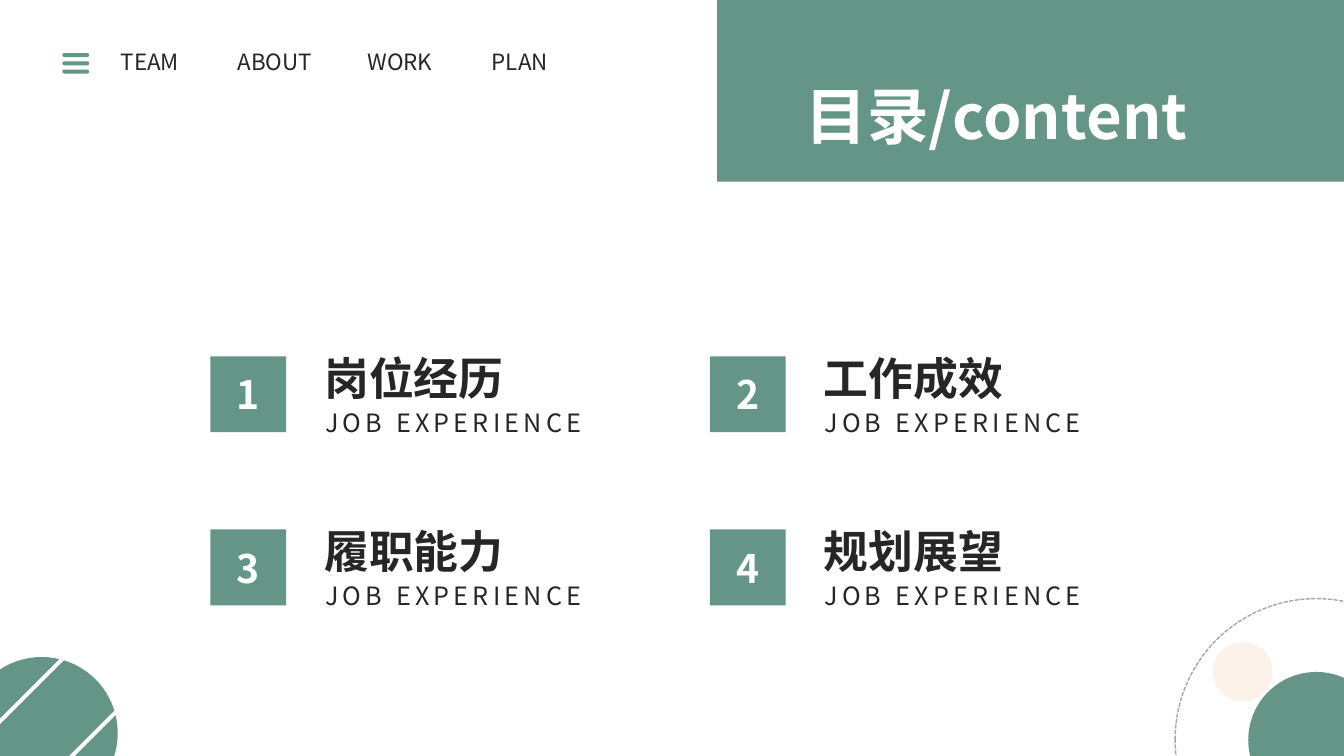
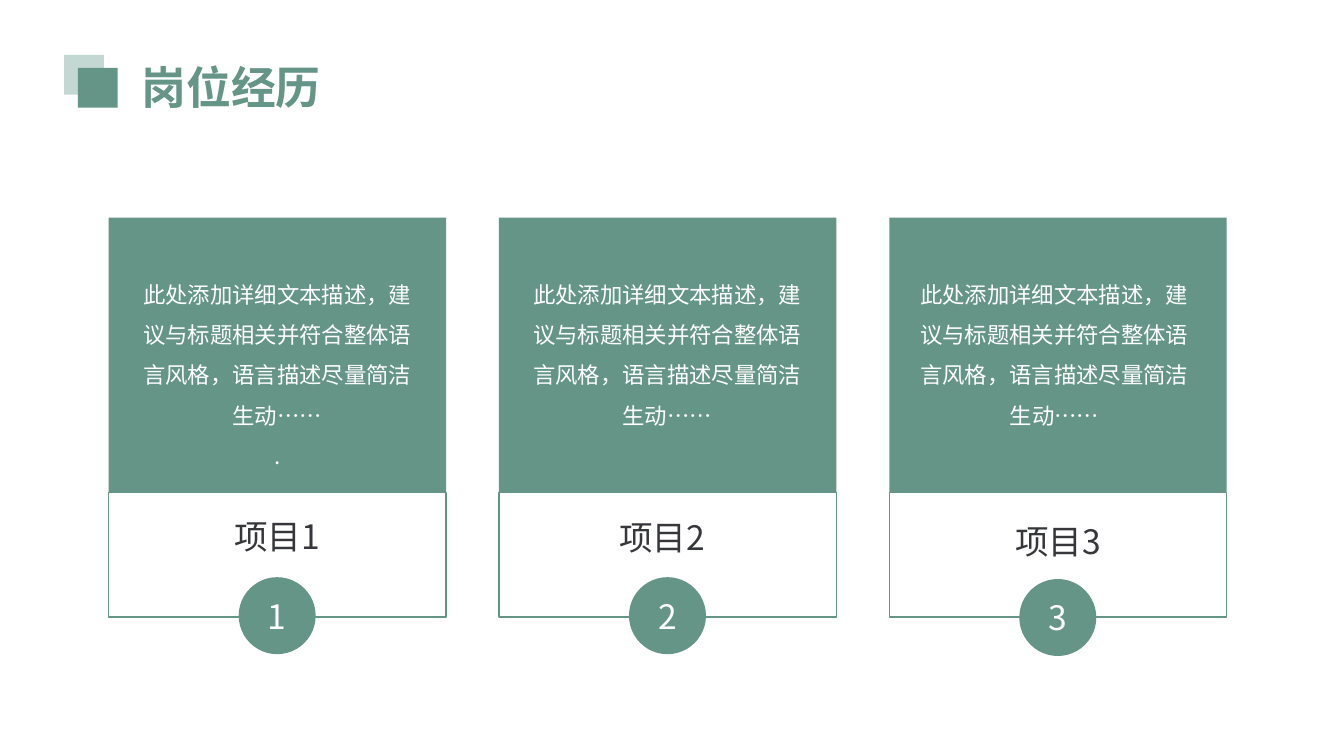
import math

import pptx
import pptx.dml.color
import pptx.enum.dml
import pptx.enum.shapes
import pptx.enum.text
import pptx.oxml
import pptx.oxml.ns
import pptx.util

Pt = pptx.util.Pt
RGB = pptx.dml.color.RGBColor
SHAPE = pptx.enum.shapes.MSO_SHAPE
ALIGN = pptx.enum.text.PP_ALIGN
ANCHOR = pptx.enum.text.MSO_ANCHOR

# Shared look
GREEN = RGB(0x65, 0x95, 0x86)
PALE_GREEN = RGB(0xC3, 0xD7, 0xD3)
CREAM = RGB(0xFD, 0xF2, 0xEA)
GREY = RGB(0xA6, 0xA6, 0xA6)
INK = RGB(0x26, 0x26, 0x26)
LABEL_INK = RGB(0x36, 0x37, 0x3B)
WHITE = RGB(0xFF, 0xFF, 0xFF)
FONT = "Noto Sans CJK SC"

# Slide content
NAV = [("TEAM", 79.2, 60.5), ("ABOUT", 162.7, 72.7),
       ("WORK", 255.6, 60.5), ("PLAN", 344.2, 60.5)]
CHAPTERS = ["岗位经历", "工作成效", "履职能力", "规划展望"]
CHAPTER_NOTE = "JOB EXPERIENCE"
DETAIL = "此处添加详细文本描述，建议与标题相关并符合整体语言风格，语言描述尽量简洁生动……"
# Label, label left and top, detail paragraphs, detail left, badge top
CARDS = [("项目1", 109.4, 365, [DETAIL, "."], 93.3, 412.3),
         ("项目2", 384.5, 365.8, [DETAIL], 371.9, 412.3),
         ("项目3", 667.4, 368.6, [DETAIL], 648.4, 413.6)]


def write(tf, texts, size, color, bold=False, align=ALIGN.LEFT,
          anchor=ANCHOR.TOP, line_spacing=None, tracking=None):
    """Fill a text frame with one paragraph per text."""
    frame = {"word_wrap": True, "vertical_anchor": anchor,
             "auto_size": pptx.enum.text.MSO_AUTO_SIZE.NONE}
    for key, value in frame.items():
        setattr(tf, key, value)
    for i, text in enumerate(texts):
        p = tf.add_paragraph() if i else tf.paragraphs[0]
        p.alignment = align
        p.line_spacing = line_spacing
        r = p.add_run()
        r.text = text
        for key, value in {"size": Pt(size), "bold": bold, "name": FONT}.items():
            setattr(r.font, key, value)
        r.font.color.rgb = color
        rPr = r.font._element
        ea = pptx.oxml.parse_xml(
            f'<a:ea {pptx.oxml.ns.nsdecls("a")} typeface="{FONT}"/>')
        rPr.append(ea)
        if tracking:
            rPr.set("spc", str(tracking * 100))


def add_text(s, box, texts, size, color, **style):
    tb = s.shapes.add_textbox(*map(Pt, box))
    write(tb.text_frame, texts, size, color, **style)


def paint(sp, fill, line=None):
    """Set fill and outline; None leaves either one empty."""
    sp.shadow.inherit = False
    if fill is None:
        sp.fill.background()
    else:
        sp.fill.solid()
        sp.fill.fore_color.rgb = fill
    if line is None:
        sp.line.fill.background()
    else:
        sp.line.color.rgb = line
        sp.line.width = Pt(1)


def add_shape(s, kind, box, fill, line=None):
    sp = s.shapes.add_shape(kind, *map(Pt, box))
    paint(sp, fill, line)
    return sp


def add_number(s, kind, box, number, size, bold=False):
    sp = add_shape(s, kind, box, GREEN)
    write(sp.text_frame, [str(number)], size, WHITE, bold=bold,
          align=ALIGN.CENTER, anchor=ANCHOR.MIDDLE)


def set_title(s, box, text, size, color):
    """Place the title placeholder in front of what is drawn so far."""
    title = s.shapes.title
    title.left, title.top, title.width, title.height = map(Pt, box)
    write(title.text_frame, [text], size, color, bold=True)
    s.shapes.element.append(title.element)


def make_arc(line, radius, start, end):
    """Turn a straight segment of an outline into a circular arc."""
    size = int(Pt(radius))
    turn = round(math.degrees(start) * 60000) % 21600000
    sweep = round(math.degrees(end - start) * 60000)
    arc = pptx.oxml.parse_xml(
        f'<a:arcTo {pptx.oxml.ns.nsdecls("a")} wR="{size}" hR="{size}" '
        f'stAng="{turn}" swAng="{sweep}"/>')
    line.getparent().replace(line, arc)


def add_striped_disc(s, cx, cy, radius, bands):
    """Draw a disc as slices stacked from bottom to top, then tilt it."""
    fb, sides = None, []
    for near, far in bands:
        start, end = math.acos(far / radius), math.acos(near / radius)
        half = [start, (start + end) / 2, end]
        angles = half + [-a for a in reversed(half)]
        points = [(Pt(cx + radius * math.cos(a + math.pi / 2)),
                   Pt(cy + radius * math.sin(a + math.pi / 2))) for a in angles]
        if fb is None:
            fb = s.shapes.build_freeform(*points[0])
        else:
            fb.move_to(*points[0])
        fb.add_line_segments(points[1:], close=True)
        sides += zip(angles, angles[1:])
    sp = fb.convert_to_shape()
    for line, (a, b) in zip(list(sp.element.iter(pptx.oxml.ns.qn("a:lnTo"))), sides):
        if b > a:
            make_arc(line, radius, a + math.pi / 2, b + math.pi / 2)
    sp.rotation = 315
    paint(sp, GREEN)


def add_chapter(s, number, name):
    row, col = divmod(number - 1, 2)
    left, top = 150.3 + col * 356.7, 254.5 + row * 123.7
    add_text(s, (left + 74.8, top + 32.9, 217.4, 29), [CHAPTER_NOTE], 18, INK,
             tracking=3)
    add_text(s, (left + 74.3, top - 7.4, 188.6, 46), [name], 32, INK, bold=True)
    add_number(s, SHAPE.RECTANGLE, (left, top, 54.2, 54.2), number, 28, bold=True)


def add_card(s, index, label, label_left, label_top, details, detail_left, badge_top):
    left, width = 77.6 + index * 278.8, 241.1
    add_shape(s, SHAPE.RECTANGLE, (left, 155.5, width, 196.3), GREEN)
    add_shape(s, SHAPE.RECTANGLE, (left, 351.8, width, 89), WHITE, GREEN)
    add_number(s, SHAPE.OVAL, (left + 92.9, badge_top, 55, 55), index + 1, 24)
    add_text(s, (label_left, label_top, 177.1, 36), [label], 24, LABEL_INK,
             align=ALIGN.CENTER)
    add_text(s, (detail_left, 187.6, 209.5, 120), details, 16, WHITE,
             align=ALIGN.CENTER, line_spacing=1.5)


def build_contents(s):
    # Title band
    add_shape(s, SHAPE.RECTANGLE, (512.2, 0, 447.8, 129.7), GREEN)
    set_title(s, (568.3, 51.8, 323.3, 60.5), "目录/content", 44, WHITE)
    # Chapters
    for number, name in enumerate(CHAPTERS, 1):
        add_chapter(s, number, name)
    # Navigation
    for name, left, width in NAV:
        add_text(s, (left, 31, width, 26.6), [name], 16, INK)
    for i in range(3):
        bar = add_shape(s, SHAPE.ROUNDED_RECTANGLE,
                        (44.5, 37.9 + i * 5.9, 19.2, 2.9), GREEN)
        bar.adjustments[0] = 0.5
    # Corner ornaments
    add_shape(s, SHAPE.OVAL, (866.5, 458.6, 42.5, 42.5), CREAM)
    add_shape(s, SHAPE.OVAL, (891.6, 480, 97.2, 97.2), GREEN)
    add_striped_disc(s, 29.8, 523.6, 54.3,
                     [(-54.3, -28.4), (-25.4, 25.4), (28.4, 54.3)])
    ring = add_shape(s, SHAPE.OVAL, (839.4, 427.6, 201.6, 201.6), None, GREY)
    ring.line.dash_style = pptx.enum.dml.MSO_LINE.SQUARE_DOT


def build_experience(s):
    # Title with its marker
    add_shape(s, SHAPE.RECTANGLE, (45.8, 39.2, 28.4, 28.4), PALE_GREEN)
    add_shape(s, SHAPE.RECTANGLE, (55.6, 48.5, 28.4, 28.4), GREEN)
    set_title(s, (93.9, 39.2, 159.1, 46), CHAPTERS[0], 32, GREEN)
    # Project cards
    for index, card in enumerate(CARDS):
        add_card(s, index, *card)


def main():
    prs = pptx.Presentation()
    prs.slide_width, prs.slide_height = Pt(960), Pt(540)
    for build in (build_contents, build_experience):
        build(prs.slides.add_slide(prs.slide_layouts[5]))
    prs.save("out.pptx")


if __name__ == "__main__":
    main()
